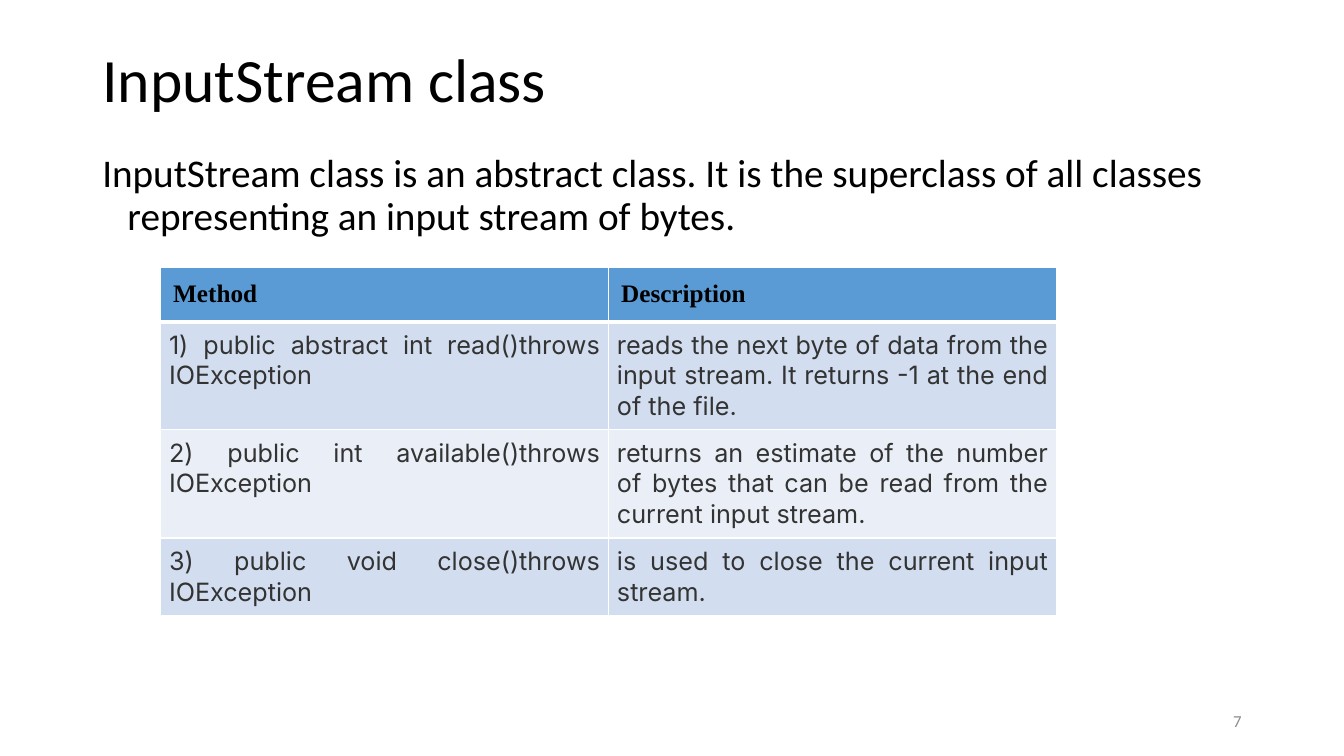
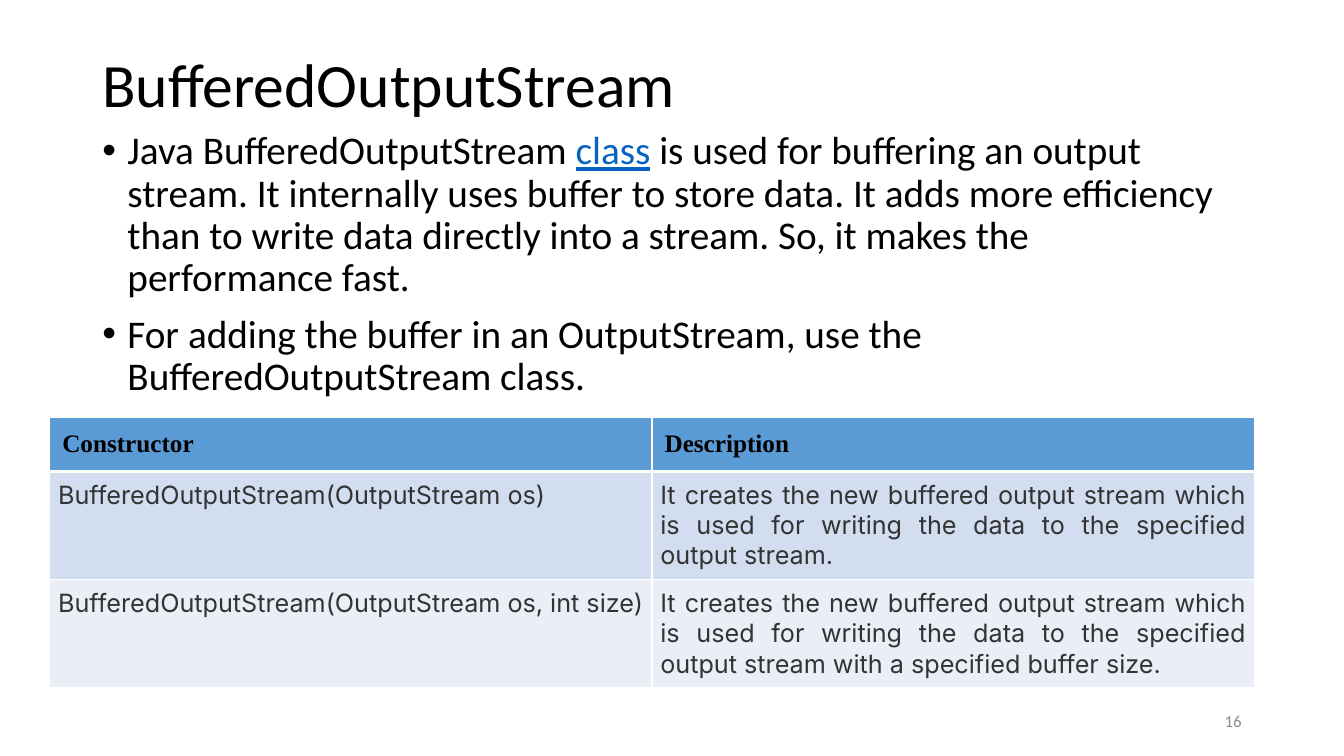
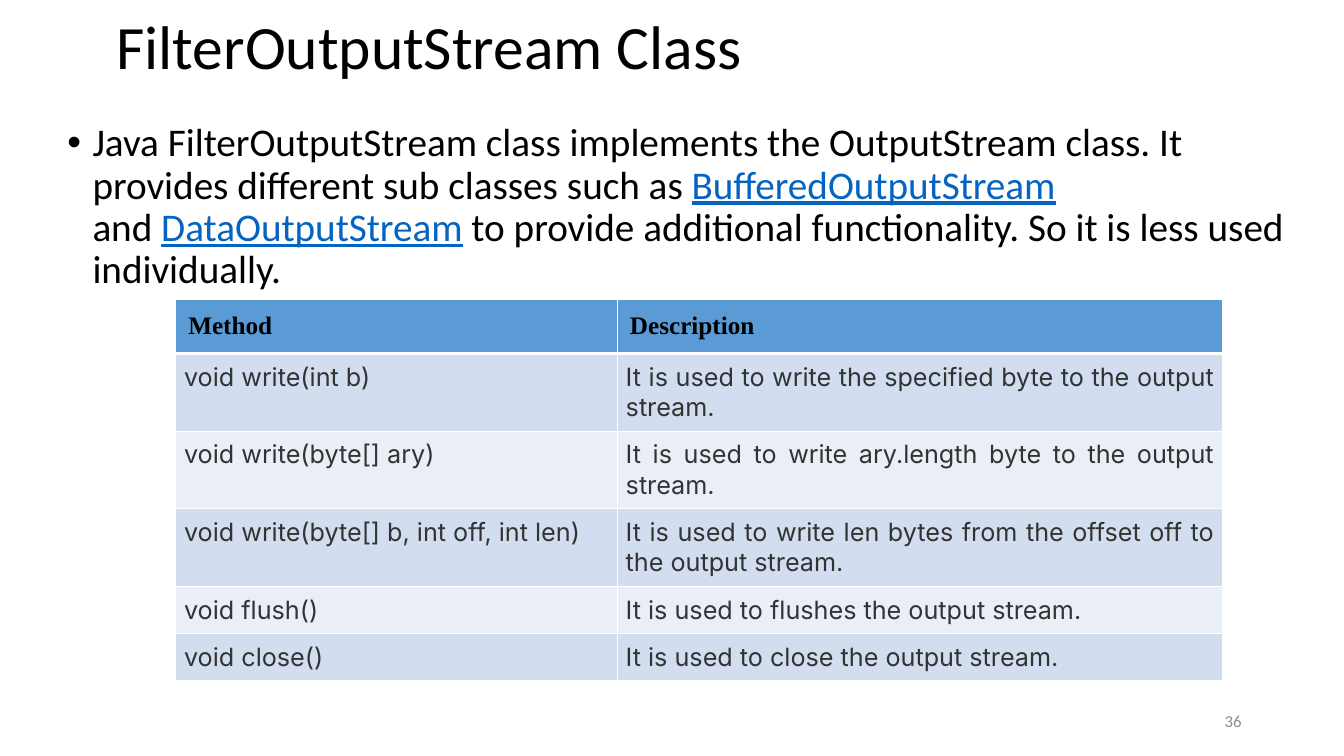
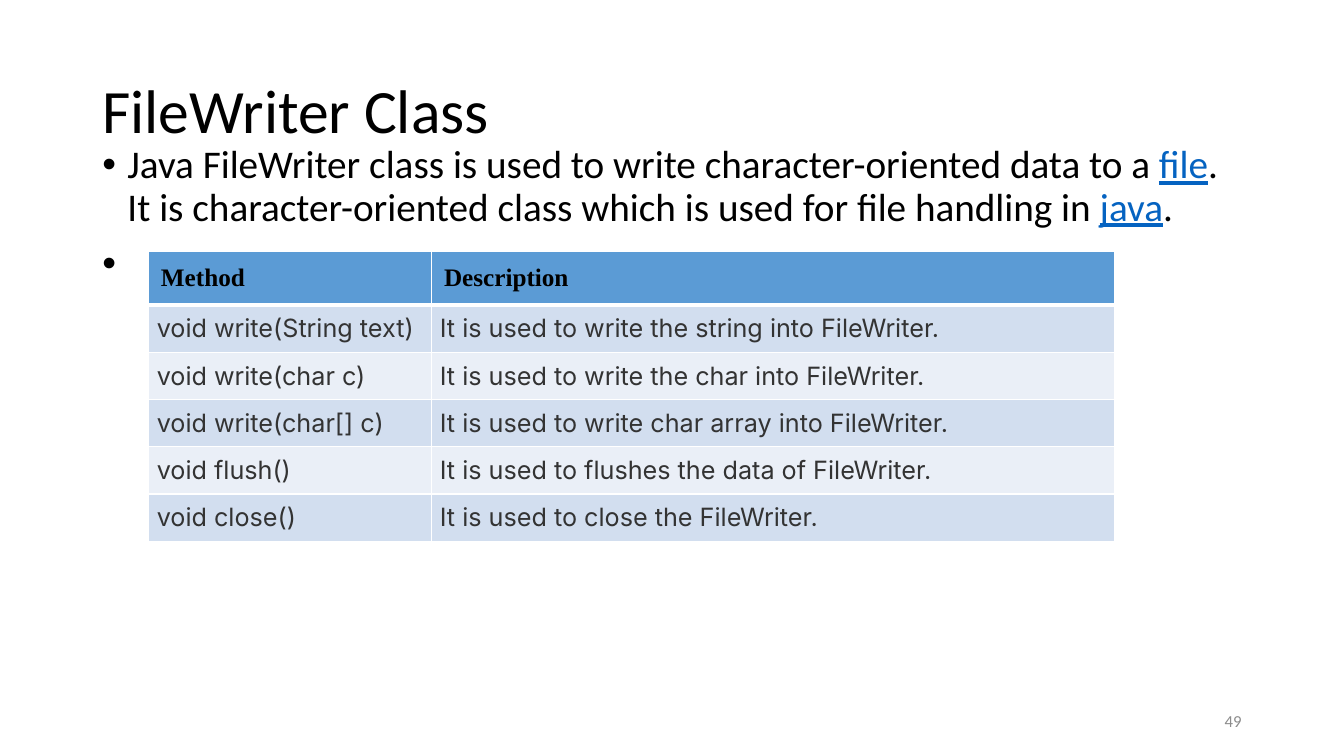
from itertools import accumulate
from lxml import etree
from pptx import Presentation
from pptx.dml.color import RGBColor
from pptx.enum.text import MSO_ANCHOR, MSO_AUTO_SIZE, PP_ALIGN
from pptx.oxml.ns import qn
from pptx.util import Pt

LEFT, RIGHT, JUSTIFY = PP_ALIGN.LEFT, PP_ALIGN.RIGHT, PP_ALIGN.JUSTIFY
TOP, MIDDLE = MSO_ANCHOR.TOP, MSO_ANCHOR.MIDDLE
NO_FIT = MSO_AUTO_SIZE.NONE

BLACK = RGBColor(0x00, 0x00, 0x00)
WHITE = RGBColor(0xFF, 0xFF, 0xFF)
GREY = RGBColor(0x8C, 0x8C, 0x8C)
DARK = RGBColor(0x33, 0x33, 0x33)
LINK = RGBColor(0x05, 0x63, 0xC1)
HEADER_FILL = RGBColor(0x5B, 0x9B, 0xD5)
BAND_FILLS = RGBColor(0xD2, 0xDE, 0xEF), RGBColor(0xEA, 0xEF, 0xF7)

TITLE = dict(name="Calibri", size=Pt(44), color=BLACK)
BODY = dict(name="Calibri", size=Pt(28), color=BLACK)
BODY_LINK = dict(BODY, color=LINK, underline=True)
NUMBER = dict(name="Calibri", size=Pt(12), color=GREY)
HEADER = dict(name="Times New Roman", size=Pt(18), color=BLACK, bold=True)
CELL = dict(name="Inter", size=Pt(18), color=DARK, bold=False)

NUMBER_BOX = (678, 500.5, 216, 28.75)
HEADER_HEIGHT, HEADER_INSET = 38.5, 9
LINE_HEIGHT, CELL_INSET = 21.75, 6
INDENT = 18


def set_attrs(target, **values):
    for key, value in values.items():
        setattr(target, key, value)


def place(s, box):
    for key, value in zip(("left", "top", "width", "height"), box):
        setattr(s, key, Pt(value))


def add_run(p, text, style):
    r = p.add_run()
    r.text = text
    for key, value in style.items():
        if key == "color":
            r.font.color.rgb = value
        else:
            setattr(r.font, key, value)


def add_box(s, box, anchor):
    sp = s.shapes.add_textbox(*map(Pt, box))
    set_attrs(sp.text_frame, word_wrap=True, auto_size=NO_FIT, vertical_anchor=anchor)
    return sp.text_frame


def add_title(s, box, text):
    sp = s.shapes.title
    place(sp, box)
    tf = sp.text_frame
    set_attrs(tf, word_wrap=True, auto_size=NO_FIT, vertical_anchor=MIDDLE)
    p = tf.paragraphs[0]
    set_attrs(p, alignment=LEFT, line_spacing=0.9)
    add_run(p, text, TITLE)


def hang(p, bullet):
    pPr = p._p.get_or_add_pPr()
    pPr.set("marL", str(Pt(INDENT)))
    pPr.set("indent", str(-Pt(INDENT)))
    if bullet:
        etree.SubElement(pPr, qn("a:buFont")).set("typeface", "Arial")
        etree.SubElement(pPr, qn("a:buChar")).set("char", "•")


def add_body(s, box, paragraphs, bullet):
    tf = add_box(s, box, TOP)
    for i, text in enumerate(paragraphs):
        p = tf.add_paragraph() if i else tf.paragraphs[0]
        set_attrs(p, alignment=LEFT, line_spacing=0.9, space_before=Pt(10))
        hang(p, bullet)
        for j, part in enumerate(text.split("|")):
            add_run(p, part, BODY_LINK if j % 2 else BODY)


def add_number(s, number):
    p = add_box(s, NUMBER_BOX, MIDDLE).paragraphs[0]
    p.alignment = RIGHT
    add_run(p, str(number), NUMBER)


def set_borders(cell, widths):
    tcPr = cell._tc.get_or_add_tcPr()
    for side, width in zip("LRTB", widths):
        ln = etree.SubElement(tcPr, qn("a:ln" + side))
        ln.set("w", str(Pt(width)))
        fill = etree.SubElement(ln, qn("a:solidFill"))
        etree.SubElement(fill, qn("a:srgbClr")).set("val", str(WHITE))


def fill_cell(cell, text, row):
    inset = CELL_INSET if row else HEADER_INSET
    set_attrs(cell, vertical_anchor=TOP,
              **{"margin_" + side: Pt(inset) for side in ("left", "top", "right", "bottom")})
    set_borders(cell, (1, 1, 3 if row == 1 else 1, 1 if row else 3))
    cell.fill.solid()
    cell.fill.fore_color.rgb = BAND_FILLS[(row - 1) % 2] if row else HEADER_FILL
    p = cell.text_frame.paragraphs[0]
    p.alignment = JUSTIFY if row else LEFT
    add_run(p, text, CELL if row else HEADER)


def add_method_table(s, corner, widths, heading, rows):
    heights = [HEADER_HEIGHT] + [2 * CELL_INSET + LINE_HEIGHT * lines for lines, *_ in rows]
    texts = [(heading, "Description")] + [cells for _, *cells in rows]
    size = (list(accumulate(widths))[-1], list(accumulate(heights))[-1])
    table = s.shapes.add_table(len(texts), len(widths), *map(Pt, corner + size)).table
    for column, width in zip(table.columns, widths):
        column.width = Pt(width)
    for i, (height, cells) in enumerate(zip(heights, texts)):
        table.rows[i].height = Pt(height)
        for j, text in enumerate(cells):
            fill_cell(table.cell(i, j), text, i)


def add_class_slide(prs, title, title_box, body, body_box, number, table, bullet=True):
    s = prs.slides.add_slide(prs.slide_layouts[5])
    add_title(s, title_box, title)
    add_body(s, body_box, body, bullet)
    add_number(s, number)
    add_method_table(s, **table)


SLIDES = [
    dict(
        title="InputStream class", title_box=(66, 28.75, 828, 61),
        body=["InputStream class is an abstract class. It is the superclass of all classes "
              "representing an input stream of bytes."],
        body_box=(66, 106.5, 828, 379.5), bullet=False, number=7,
        table=dict(corner=(114.75, 191.25), widths=(320, 320), heading="Method", rows=[
            (3, "1) public abstract int read()throws IOException",
             "reads the next byte of data from the input stream. It returns -1 at the end of the file."),
            (3, "2) public int available()throws IOException",
             "returns an estimate of the number of bytes that can be read from the current input stream."),
            (2, "3) public void close()throws IOException",
             "is used to close the current input stream."),
        ])),
    dict(
        title="BufferedOutputStream", title_box=(66, 28.75, 828, 67),
        body=["Java BufferedOutputStream\u00a0|class|\u00a0is used for buffering an output stream. "
              "It internally uses buffer to store data. It adds more efficiency than to write data "
              "directly into a stream. So, it makes the performance fast.",
              "For adding the buffer in an OutputStream, use the BufferedOutputStream class."],
        body_box=(66, 90, 828, 396.5), number=16,
        table=dict(corner=(35.5, 298.25), widths=(430.25, 430.25), heading="Constructor", rows=[
            (3, "BufferedOutputStream(OutputStream os)",
             "It creates the new buffered output stream which is used for writing the data "
             "to the specified output stream."),
            (3, "BufferedOutputStream(OutputStream os, int size)",
             "It creates the new buffered output stream which is used for writing the data "
             "to the specified output stream with a specified buffer size."),
        ])),
    dict(
        title="FilterOutputStream Class", title_box=(76, 4.75, 818, 61),
        body=["Java FilterOutputStream class implements the OutputStream\u00a0class. It provides "
              "different sub classes such as\u00a0|BufferedOutputStream| and\u00a0|DataOutputStream|"
              "\u00a0to provide additional functionality. So it is less used individually."],
        body_box=(41, 84.25, 894.25, 401.75), number=36,
        table=dict(corner=(125.5, 214), widths=(315.5, 432.5), heading="Method", rows=[
            (2, "void write(int b)", "It is used to write the specified byte to the output stream."),
            (2, "void write(byte[] ary)", "It is used to write ary.length byte to the output stream."),
            (2, "void write(byte[] b, int off, int len)",
             "It is used to write len bytes from the offset off to the output stream."),
            (1, "void flush()", "It is used to flushes the output stream."),
            (1, "void close()", "It is used to close the output stream."),
        ])),
    dict(
        title="FileWriter Class", title_box=(66, 28.75, 828, 104.5),
        body=["Java FileWriter class is used to write character-oriented data to a\u00a0|file|. "
              "It is character-oriented class which is used for file handling in\u00a0|java|.",
              " "],
        body_box=(66, 100, 828, 70), number=49,
        table=dict(corner=(106, 179.5), widths=(202.25, 488), heading="Method", rows=[
            (1, "void write(String text)", "It is used to write the string into FileWriter."),
            (1, "void write(char c)", "It is used to write the char into FileWriter."),
            (1, "void write(char[] c)", "It is used to write char array into FileWriter."),
            (1, "void flush()", "It is used to flushes the data of FileWriter."),
            (1, "void close()", "It is used to close the FileWriter."),
        ])),
]

prs = Presentation()
set_attrs(prs, slide_width=Pt(960), slide_height=Pt(540))
for slide in SLIDES:
    add_class_slide(prs, **slide)
prs.save("out.pptx")
